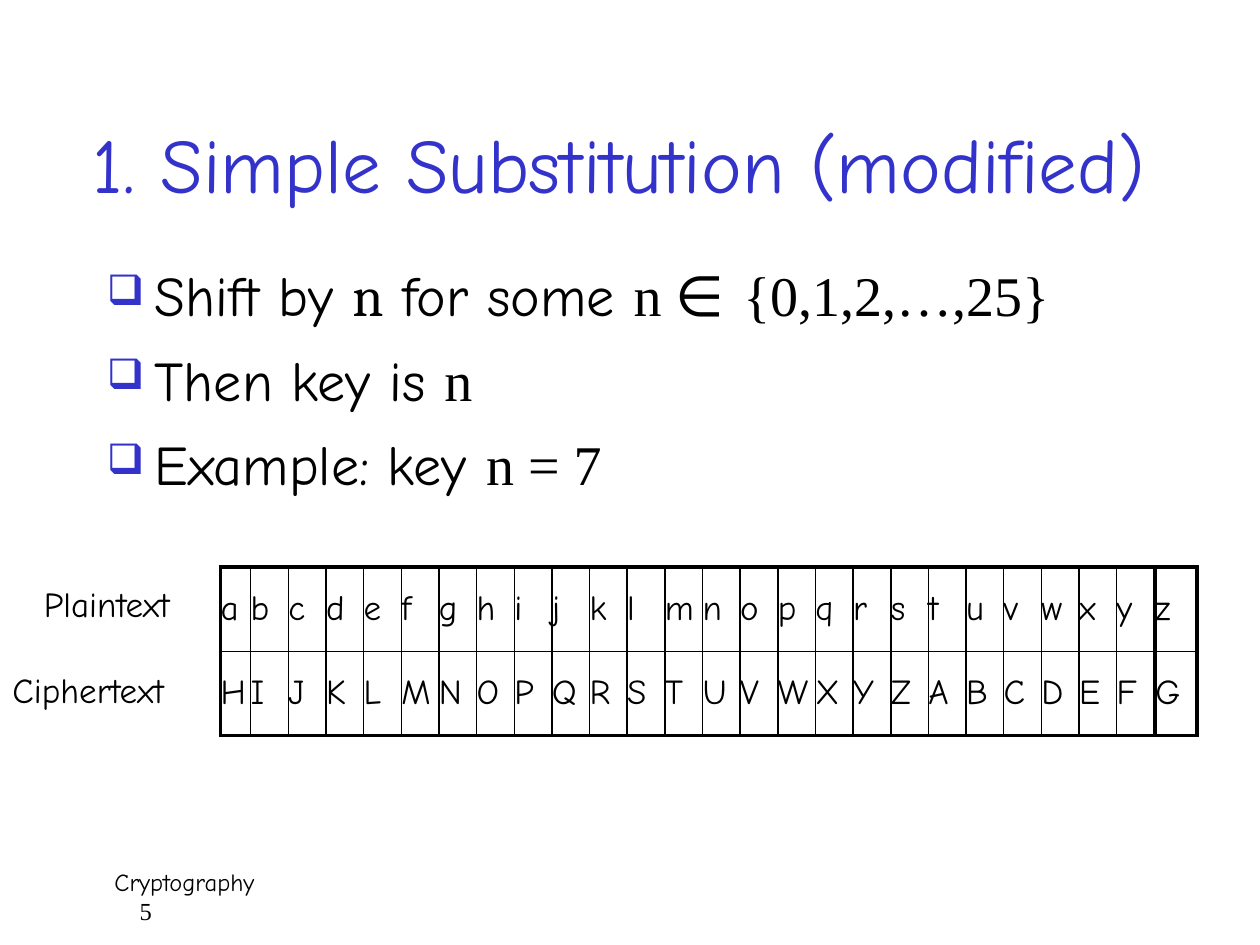
import lxml.etree
import pptx
import pptx.dml.color
import pptx.enum.text
import pptx.oxml.ns
import pptx.util

Inches, Pt = pptx.util.Inches, pptx.util.Pt
qn = pptx.oxml.ns.qn
COLORS = {"title": "3333CC", "text": "000000"}
COMIC, TIMES, CAMBRIA = "Comic Neue", "Times New Roman", "Cambria"


def add_run(paragraph, text, size, name=COMIC, color="text"):
    run = paragraph.add_run()
    run.text = text
    for attribute, value in {"size": Pt(size), "name": name, "bold": False}.items():
        setattr(run.font, attribute, value)
    run.font.color.rgb = pptx.dml.color.RGBColor.from_string(COLORS[color])


def set_borders(cell, widths):
    """Draw solid cell borders; widths are points for left, right, top, bottom."""
    properties = cell._tc.get_or_add_tcPr()
    for position, (side, width) in enumerate(zip("LRTB", widths)):
        line = lxml.etree.Element(qn(f"a:ln{side}"), w=str(Pt(width)))
        fill = lxml.etree.SubElement(line, qn("a:solidFill"))
        lxml.etree.SubElement(fill, qn("a:srgbClr"), val=COLORS["text"])
        properties.insert(position, line)


presentation = pptx.Presentation()
presentation.slide_width, presentation.slide_height = Inches(10), Inches(7.5)
slide = presentation.slides.add_slide(presentation.slide_layouts[5])

# Title
title = slide.shapes.title
title.left, title.top, title.width, title.height = map(Inches, (0, 0.67, 9.83, 1.25))
title.text_frame.vertical_anchor = pptx.enum.text.MSO_ANCHOR.MIDDLE
paragraph = title.text_frame.paragraphs[0]
paragraph.alignment = pptx.enum.text.PP_ALIGN.CENTER
add_run(paragraph, "1. Simple Substitution (modified)", 44, color="title")

# Bullets
bullets = [
    [("Shift by ", COMIC), ("n", CAMBRIA), (" for some ", COMIC), ("n ", TIMES),
     ("∈ ", COMIC), ("{0,1,2,…,25}", TIMES)],
    [("Then key is ", COMIC), ("n", TIMES)],
    [("Example: key ", COMIC), ("n = 7", TIMES)],
]
body = slide.shapes.add_textbox(Inches(0.75), Inches(2.08), Inches(8.67), Inches(2.17))
frame = body.text_frame
frame.word_wrap = True
for index, runs in enumerate(bullets):
    paragraph = frame.add_paragraph() if index else frame.paragraphs[0]
    properties = paragraph._p.get_or_add_pPr()
    properties.set("marL", str(Inches(0.38)))
    properties.set("indent", str(-Inches(0.38)))
    bullet_color = lxml.etree.SubElement(properties, qn("a:buClr"))
    lxml.etree.SubElement(bullet_color, qn("a:srgbClr"), val=COLORS["title"])
    lxml.etree.SubElement(properties, qn("a:buSzPct"), val="75000")
    lxml.etree.SubElement(properties, qn("a:buChar"), char="❑")
    spacing = {"line_spacing": 0.9, "space_before": Pt(7.7 if index else 0),
               "space_after": Pt(6)}
    for attribute, value in spacing.items():
        setattr(paragraph, attribute, value)
    for text, name in runs:
        add_run(paragraph, text, 32, name)

# Substitution tables: a to y, then z on its own
alphabet = "abcdefghijklmnopqrstuvwxyz"
key = 7
shifted = (alphabet[key:] + alphabet[:key]).upper()
THICK, THIN = 2.25, 1
first_width = 0.24
letter_width = (7.42 - first_width) / 24
tables = [
    (1.75, alphabet[:-1], shifted[:-1], [first_width] + [letter_width] * 24),
    (9.17, alphabet[-1], shifted[-1], [0.33]),
]
for left, plain, cipher, widths in tables:
    table = slide.shapes.add_table(2, len(widths), Inches(left), Inches(4.5),
                                   Inches(sum(widths)), Inches(1.33)).table
    table.first_row = table.horz_banding = False
    for column, width in zip(table.columns, widths):
        column.width = Inches(width)
    for row_index, letters in enumerate((plain, cipher)):
        table.rows[row_index].height = Inches(0.67)
        for column_index, letter in enumerate(letters):
            cell = table.cell(row_index, column_index)
            cell.fill.background()
            cell.vertical_anchor = pptx.enum.text.MSO_ANCHOR.MIDDLE
            for side in ("left", "right", "top", "bottom"):
                setattr(cell, f"margin_{side}", 0)
            add_run(cell.text_frame.paragraphs[0], letter, 20)
            outer_edges = (column_index == 0, column_index == len(widths) - 1,
                           row_index == 0, row_index == 1)
            set_borders(cell, [THICK if outer else THIN for outer in outer_edges])

# Row labels
for text, left, top, width in (("Plaintext", 0.25, 4.57, 1.36),
                               ("Ciphertext", 0, 5.26, 1.62)):
    label = slide.shapes.add_textbox(Inches(left), Inches(top), Inches(width), Inches(0.49))
    label.text_frame.word_wrap = False
    label.text_frame.auto_size = pptx.enum.text.MSO_AUTO_SIZE.SHAPE_TO_FIT_TEXT
    add_run(label.text_frame.paragraphs[0], text, 20)

# Footer and page number
footer = slide.shapes.add_textbox(Inches(0.75), Inches(6.83), Inches(8.58), Inches(0.5))
frame = footer.text_frame
frame.word_wrap = True
for paragraph, text, name, indent in (
        (frame.paragraphs[0], "Cryptography", COMIC, 0.06),
        (frame.add_paragraph(), "5", TIMES, 0.26)):
    paragraph._p.get_or_add_pPr().set("marL", str(Inches(indent)))
    add_run(paragraph, text, 14, name)

presentation.save("out.pptx")
